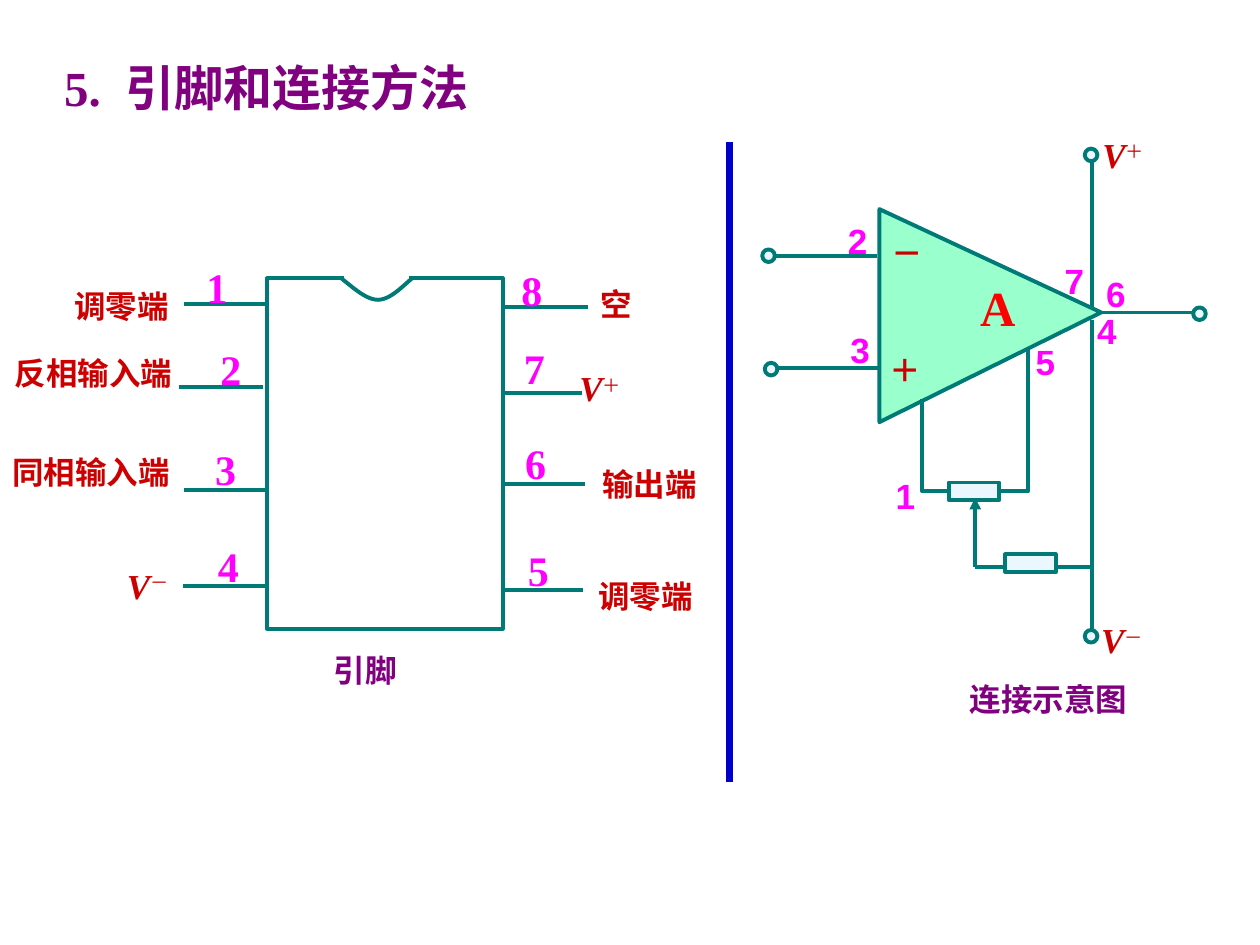
from lxml import etree
from pptx import Presentation
from pptx import util as u
from pptx.dml.color import RGBColor
from pptx.enum import shapes, text
from pptx.oxml.ns import qn

COLORS = {
    "purple": "800080", "red": "CC0000", "bright_red": "FF0000",
    "magenta": "FF00FF", "teal": "007A77", "mint": "99FFCC",
    "ice": "EBF7FF", "blue": "0000CC",
}
COLUMNS, ROWS = 100, 75
CELL = u.Inches(0.1)
SERIF, SANS = "Times New Roman", "Arial"


def color(name):
    return RGBColor.from_string(COLORS[name])


def cells(count):
    return round(count * CELL)


def format_run(run, size, name, ink, bold=True, italic=False):
    font = run.font
    font.size, font.name = u.Pt(size), name
    font.bold, font.italic = bold, italic
    font.color.rgb = color(ink)


def set_frame(text_frame, wrap=True):
    text_frame.word_wrap = wrap
    text_frame.auto_size = text.MSO_AUTO_SIZE.SHAPE_TO_FIT_TEXT
    text_frame.vertical_anchor = text.MSO_ANCHOR.TOP
    text_frame.margin_left = text_frame.margin_right = u.Inches(0.1)
    text_frame.margin_top = text_frame.margin_bottom = u.Inches(0.05)


class Region:
    def __init__(self, slide, left, top):
        self.shapes = slide.shapes.add_group_shape().shapes
        self.left, self.top = left, top

    def point(self, x, y):
        return cells(self.left + x), cells(self.top + y)

    def line(self, start, end, ink="teal", width=2.25, arrow=False):
        connector = self.shapes.add_connector(
            shapes.MSO_CONNECTOR.STRAIGHT, *self.point(*start), *self.point(*end))
        connector.line.color.rgb = color(ink)
        connector.line.width = u.Pt(width)
        if arrow:
            line_element = connector._element.spPr.find(qn("a:ln"))
            etree.SubElement(line_element, qn("a:tailEnd"), type="triangle")
        etree.SubElement(connector._element.spPr, qn("a:effectLst"))

    def paint(self, shape, fill):
        shape.shadow.inherit = False
        shape.line.color.rgb = color("teal")
        shape.line.width = u.Pt(2.25)
        if fill:
            shape.fill.solid()
            shape.fill.fore_color.rgb = color(fill)
        else:
            shape.fill.background()

    def outline(self, points, fill=None, close=False):
        first, *rest = [self.point(*point) for point in points]
        builder = self.shapes.build_freeform(*first, scale=1.0)
        builder.add_line_segments(rest, close=close)
        self.paint(builder.convert_to_shape(), fill)

    def component(self, kind, x, y, width, height):
        shape = self.shapes.add_shape(kind, *self.point(x, y), cells(width), cells(height))
        self.paint(shape, "ice")

    def label(self, words, x, y, width, size=18, name=SANS, ink="red", wrap=True):
        height = {18: 4, 20: 4.4, 24: 5, 28: 5.7}[size]
        box = self.shapes.add_textbox(*self.point(x, y), cells(width), cells(height))
        set_frame(box.text_frame, wrap)
        box.text_frame.text = words
        format_run(box.text_frame.paragraphs[0].runs[0], size, name, ink)
        return box.text_frame.paragraphs[0]

    def supply(self, sign, x, y, width):
        paragraph = self.label("V", x, y, width, 20, SERIF)
        paragraph.runs[0].font.italic = True
        run = paragraph.add_run()
        run.text = sign
        format_run(run, 18, SANS, "red", bold=False)
        run._r.get_or_add_rPr().set("baseline", "30000")


def bezier(start, control_a, control_b, end, steps=10):
    for step in range(steps + 1):
        t = step / steps
        weights = ((1 - t) ** 3, 3 * t * (1 - t) ** 2, 3 * t * t * (1 - t), t ** 3)
        yield tuple(sum(weight * value for weight, value in zip(weights, axis))
                    for axis in zip(start, control_a, control_b, end))


def add_title(slide, left, top, width, height):
    title = slide.shapes.title
    title.left, title.top, title.width, title.height = map(cells, (left, top, width, height))
    set_frame(title.text_frame)
    paragraph = title.text_frame.paragraphs[0]
    paragraph.alignment = text.PP_ALIGN.LEFT
    for words in ("5.", " ", "引脚和连接方法"):
        run = paragraph.add_run()
        run.text = words
        format_run(run, 28, SERIF, "purple")
    paragraph.runs[1]._r.get_or_add_rPr().set("spc", "700")


def add_package(slide, left, top):
    region = Region(slide, left, top)
    region.outline([(27.3, 2.1), (21.2, 2.1), (21.2, 29.9),
                    (39.9, 29.9), (39.9, 2.1), (32.5, 2.1)])
    region.outline([*bezier((27.1, 2.1), (28.1, 2.9), (29.1, 3.8), (30, 3.8)),
                    *bezier((30, 3.8), (30.9, 3.8), (31.8, 2.9), (32.7, 2.1))])
    pins = [
        ("1", 14.6, 21.2, 4.1, 15.4, 0.3),
        ("2", 14.2, 20.9, 10.7, 16.5, 6.8),
        ("3", 14.6, 21.3, 18.9, 16.1, 14.7),
        ("4", 14.5, 21.2, 26.5, 16.3, 22.4),
        ("5", 39.9, 46.3, 26.8, 40.9, 22.7),
        ("6", 40.1, 46.4, 18.4, 40.7, 14.2),
        ("7", 39.9, 46.2, 11.2, 40.6, 6.7),
        ("8", 40, 46.7, 4.4, 40.4, 0.5),
    ]
    for number, start, end, y, number_x, number_y in pins:
        region.line((start, y), (end, y))
        region.label(number, number_x, number_y, 11.8, 24, SERIF, "magenta")
    for name, x, y, width in [
        ("调零端", 4.9, 2.3, 14.3), ("反相输入端", 0.2, 7.6, 15.6),
        ("同相输入端", 0, 15.5, 18.1), ("空", 46.7, 2.1, 8.2),
        ("输出端", 46.8, 16.4, 10.3), ("调零端", 46.5, 25.3, 14.7),
    ]:
        region.label(name, x, y, width)
    region.supply("－", 9.1, 24.3, 14)
    region.supply("＋", 45, 8.6, 12.4)
    region.label("引脚", 25.5, 31.2, 15, ink="purple")


def add_schematic(slide, left, top):
    region = Region(slide, left, top)
    region.supply("－", 26.4, 38.6, 11.1)
    region.supply("＋", 26.5, 0.1, 11.1)
    region.outline([(9.8, 6.6), (9.8, 23.5), (27.4, 14.8)], "mint", close=True)
    for start, end in [
        ((27.1, 14.8), (35.3, 14.8)), ((1.7, 19.2), (9.8, 19.2)),
        ((1.6, 10.3), (9.6, 10.3)), ((26.7, 15.4), (26.7, 40.8)),
        ((26.7, 14.4), (26.7, 2.7)), ((26.5, 35), (17.4, 35)),
    ]:
        region.line(start, end)
    region.outline([(13.2, 21.7), (13.2, 29), (21.6, 29), (21.6, 17.6)])
    region.line((17.4, 35), (17.4, 29.5), arrow=True)
    for x, y in [(15.3, 28.3), (19.8, 34)]:
        region.component(shapes.MSO_SHAPE.RECTANGLE, x, y, 4, 1.4)
    for x, y in [(26.1, 1.8), (34.7, 14.4), (26.1, 40), (0.7, 18.8), (0.5, 9.8)]:
        region.component(shapes.MSO_SHAPE.OVAL, x, y, 1, 1)
    region.label("－", 9.8, 8.1, 4.5, wrap=False)
    region.label("＋", 9.6, 17.4, 5.8)
    for number, x, y, width in [
        ("1", 10.1, 27.2, 5.9), ("2", 6.3, 6.9, 4.1), ("3", 6.5, 15.6, 4.1),
        ("4", 26.1, 14.1, 4.1), ("5", 21.2, 16.5, 3.5), ("6", 26.8, 11.1, 3.5),
        ("7", 23.5, 10.1, 3.5),
    ]:
        region.label(number, x, y, width, 20, ink="magenta")
    region.label("连接示意图", 16, 43.5, 24, ink="purple")
    region.label("A", 16.8, 11.5, 9.5, 28, SERIF, "bright_red")


def add_divider(slide, left, top, height):
    Region(slide, left, top).line((0, 0), (0, height), "blue", 4.5)


def main():
    presentation = Presentation()
    presentation.slide_width, presentation.slide_height = cells(COLUMNS), cells(ROWS)
    slide = presentation.slides.add_slide(presentation.slide_layouts.get_by_name("Title Only"))
    add_title(slide, 4.1, 4.1, 49.3, 5.7)
    add_package(slide, 0, 20)
    add_schematic(slide, 60, 10)
    add_divider(slide, 57.9, 11.3, 50.8)
    presentation.save("out.pptx")


if __name__ == "__main__":
    main()
